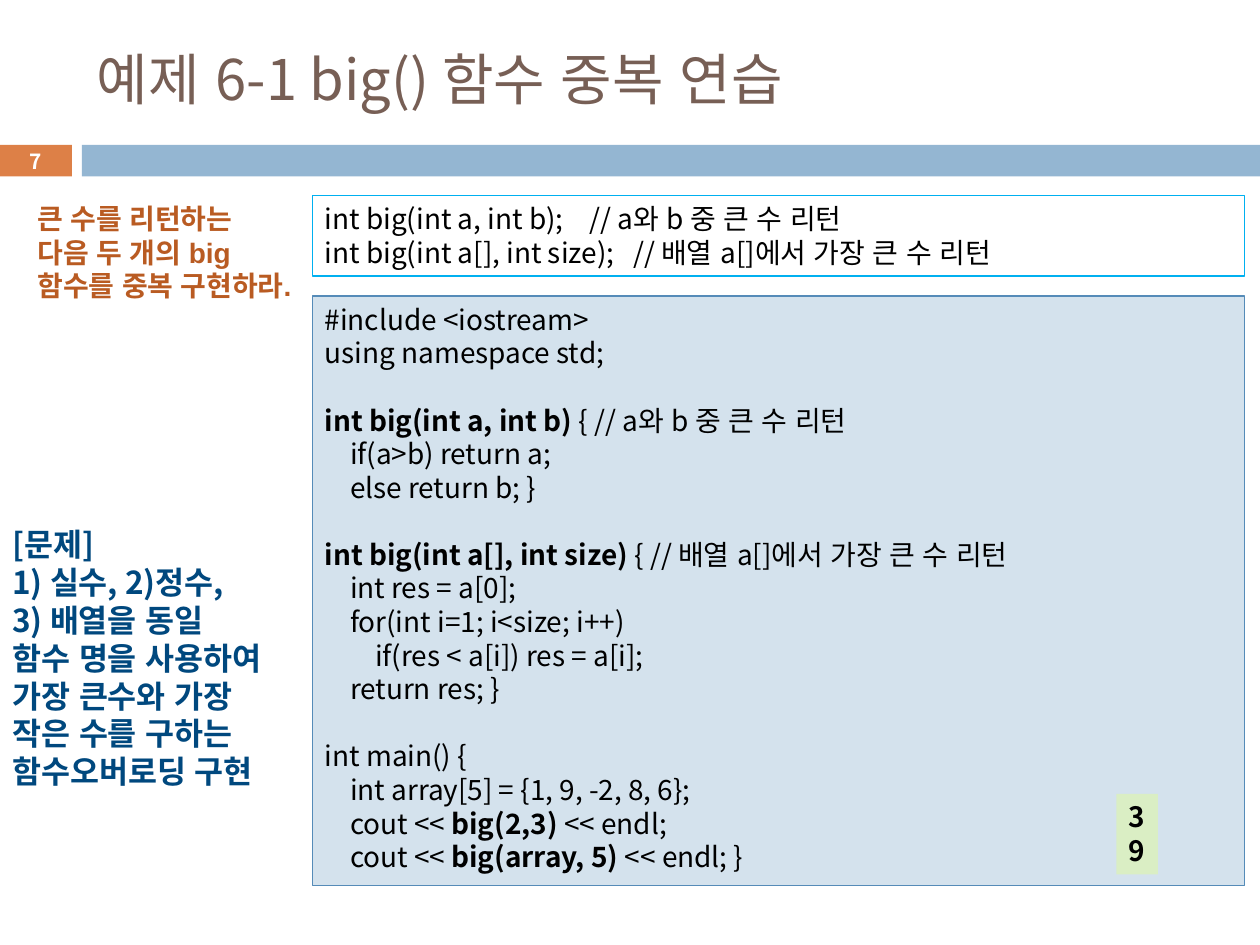
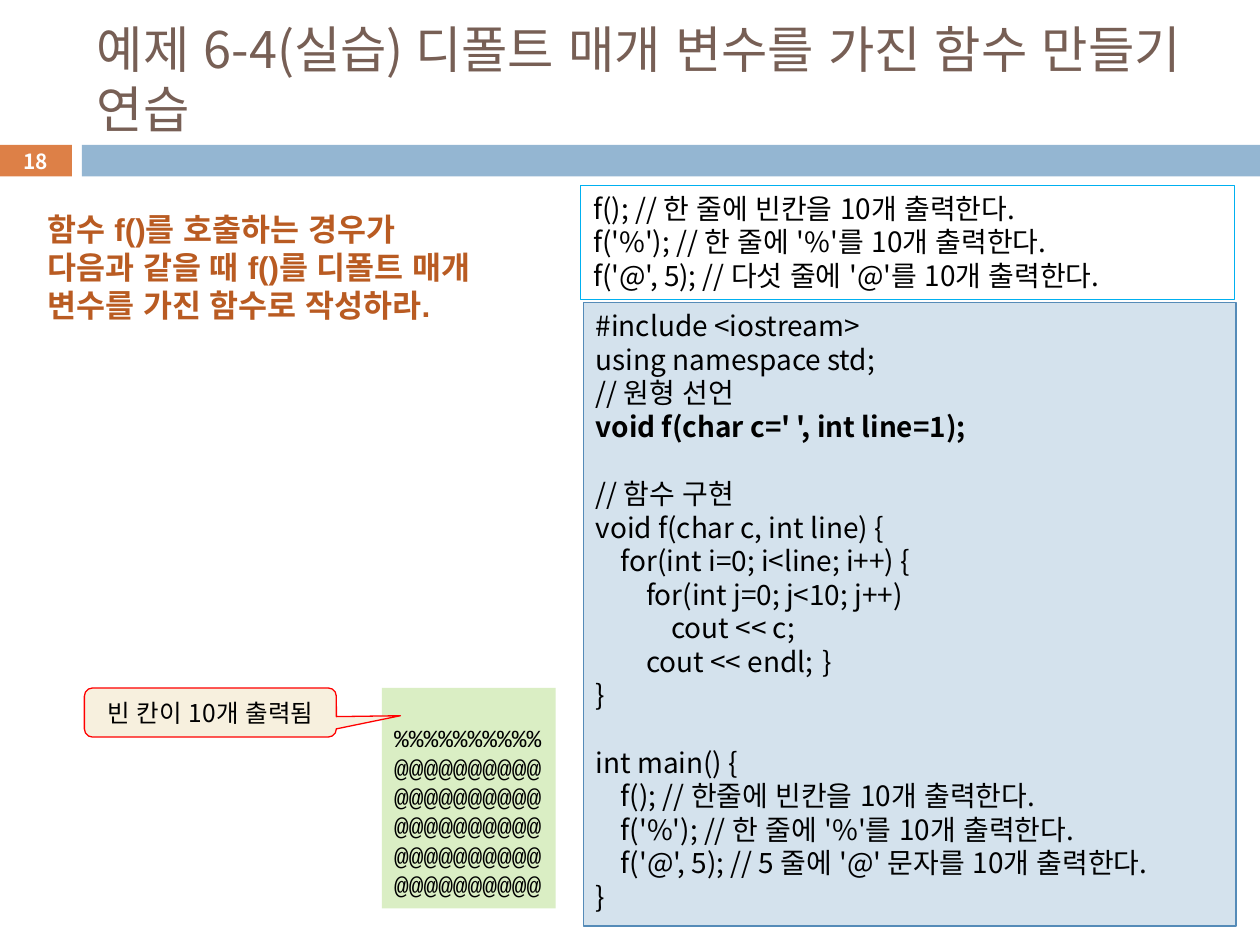
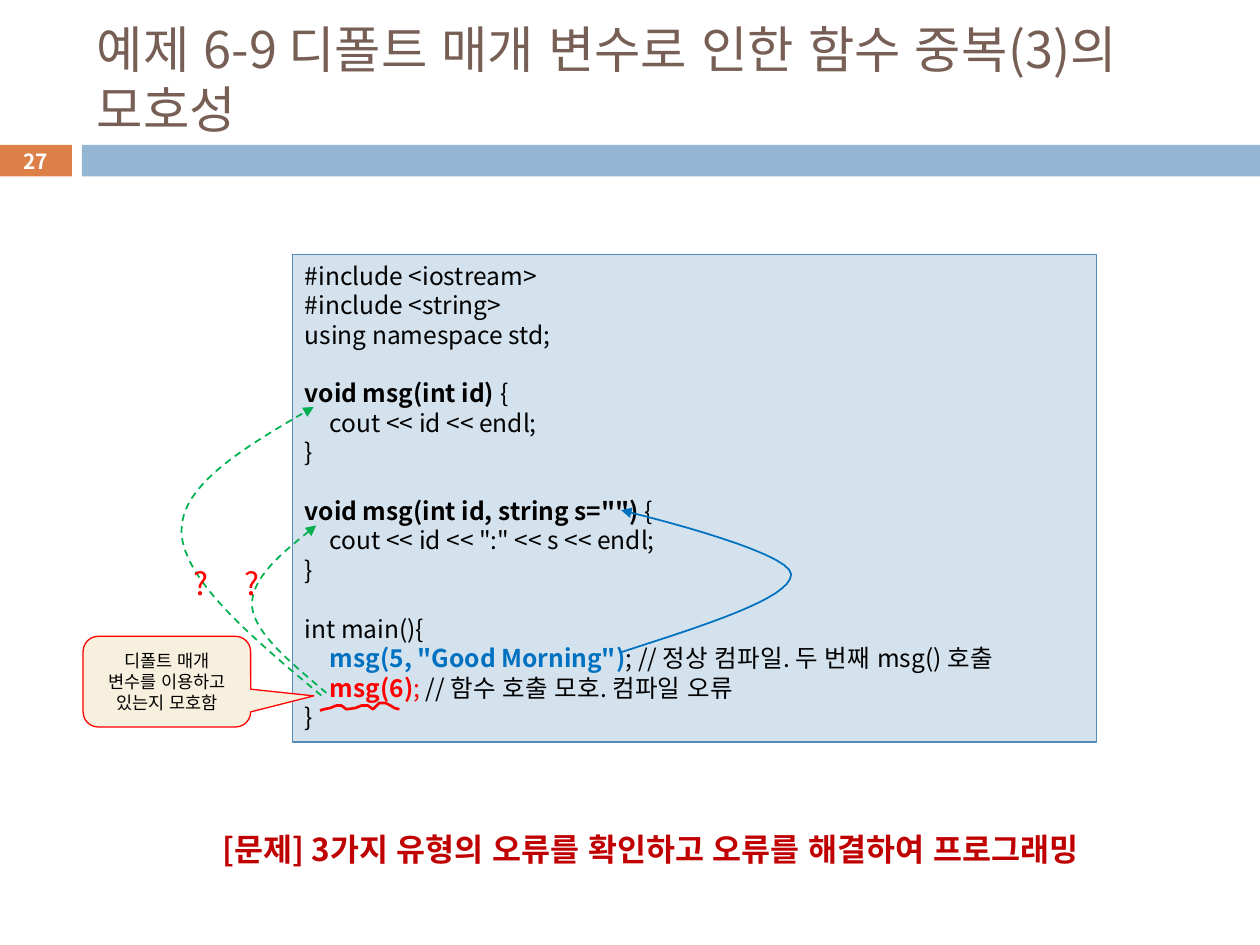
from pptx import Presentation
from pptx.dml.color import RGBColor
from pptx.enum.dml import MSO_LINE
from pptx.enum.shapes import MSO_SHAPE
from pptx.enum.text import MSO_ANCHOR, PP_ALIGN
from pptx.oxml.ns import qn
from pptx.util import Inches, Pt
from lxml import etree

RECT, CALLOUT = MSO_SHAPE.RECTANGLE, MSO_SHAPE.ROUNDED_RECTANGULAR_CALLOUT
TOP, MIDDLE = MSO_ANCHOR.TOP, MSO_ANCHOR.MIDDLE
LEFT, CENTER = PP_ALIGN.LEFT, PP_ALIGN.CENTER
DASH = MSO_LINE.DASH

SANS, ARIAL, MONO = "Noto Sans CJK KR", "Arial", "Courier New"
BLACK, WHITE, RED = "000000", "FFFFFF", "FF0000"
BROWN, ORANGE, BAND = "775F55", "DD8047", "94B6D2"
CODE_FILL, CODE_LINE, SPEC_LINE = "D4E2ED", "558BB8", "00B0F0"
OUTPUT_FILL, CALLOUT_FILL, TASK = "DAEEC4", "F7F0DE", "B95B22"
NAVY, BLUE, GREEN, DARK_RED = "00487E", "0070C0", "00B050", "C00000"
LINE_PITCH = 1.2
TAB_STEP, TAB_COUNT = 0.2, 12
BOLD = {"bold": True}

BIG_SPEC = [
    "int big(int a, int b);\t  // a와 b 중 큰 수 리턴",
    "int big(int a[], int size);   // 배열 a[]에서 가장 큰 수 리턴",
]
BIG_CODE = [
    "#include <iostream>",
    "using namespace std;",
    "",
    [("int big(int a, int b) ", BOLD), "{ // a와 b 중 큰 수 리턴"],
    "\tif(a>b) return a;",
    "\telse return b; }",
    "",
    [("int big(int a[], int size) ", BOLD), "{ // 배열 a[]에서 가장 큰 수 리턴"],
    "\tint res = a[0];",
    "\tfor(int i=1; i<size; i++)",
    "\t\tif(res < a[i]) res = a[i];",
    "\treturn res; }",
    "",
    "int main() {",
    "\tint array[5] = {1, 9, -2, 8, 6};",
    ["\tcout << ", ("big(2,3) ", BOLD), "<< endl;"],
    ["\tcout << ", ("big(array, 5) ", BOLD), "<< endl; }"],
]
BIG_PROBLEM = [
    "[문제]", "1) 실수, 2)정수,", "3) 배열을 동일", "함수 명을 사용하여",
    "가장 큰수와 가장", "작은 수를 구하는", "함수오버로딩 구현",
]

DEFAULT_SPEC = [
    "f(); // 한 줄에 빈칸을 10개 출력한다.",
    "f('%'); // 한 줄에 '%'를 10개 출력한다.",
    "f('@', 5); // 다섯 줄에 '@'를 10개 출력한다.",
]
DEFAULT_CODE = [
    "#include <iostream>",
    "using namespace std;",
    "// 원형 선언",
    [("void f(char c=' ', int line=1);", BOLD)],
    "",
    "// 함수 구현",
    "void f(char c, int line) {",
    "\tfor(int i=0; i<line; i++) {",
    "\t\tfor(int j=0; j<10; j++)",
    "\t\t\tcout << c;",
    "\t\tcout << endl; \t}",
    "}",
    "",
    "int main() {",
    "\tf(); // 한줄에 빈칸을 10개 출력한다.",
    "\tf('%'); // 한 줄에 '%'를 10개 출력한다.",
    "\tf('@', 5); // 5 줄에 '@' 문자를 10개 출력한다.",
    "}",
]
DEFAULT_OUTPUT = ["%" * 10] + ["@" * 10] * 5

MSG_CODE = [
    "#include <iostream>",
    "#include <string>",
    "using namespace std;",
    "",
    [("void msg(int id) ", BOLD), "{"],
    "\tcout << id << endl;",
    "}",
    "",
    [('void msg(int id, string s="") ', BOLD), "{"],
    '\tcout << id << ":" << s << endl;',
    "}",
    "",
    "int main(){",
    ["\t", ('msg(5, "Good Morning")', {"bold": True, "color": BLUE}),
     "; // 정상 컴파일. 두 번째 msg() 호출"],
    ["\t", ("msg(6)", {"bold": True, "color": RED}), ("; ", {"color": RED}),
     "// 함수 호출 모호. 컴파일 오류"],
    "}",
]
CALL_ARROWS = [
    (BLUE, None, [(4.92, 5.18), (5.6, 4.96), (6.27, 4.75), (6.28, 4.56),
                  (6.28, 4.37), (4.93, 4.05), (4.93, 4.05)]),
    (GREEN, DASH, [(2.59, 5.5), (2.31, 5.26), (2.02, 5.03), (2, 4.81),
                   (1.99, 4.58), (2.25, 4.38), (2.51, 4.17)]),
    (GREEN, DASH, [(2.55, 5.52), (2, 5.06), (1.45, 4.6), (1.44, 4.22),
                   (1.43, 3.84), (1.96, 3.54), (2.49, 3.23)]),
]
ERROR_WAVE = [
    (2.54, 5.64), (2.57, 5.63), (2.62, 5.62), (2.67, 5.6), (2.71, 5.6),
    (2.75, 5.63), (2.82, 5.62), (2.87, 5.6), (2.92, 5.6), (2.96, 5.63),
    (3.01, 5.58), (3.06, 5.58), (3.1, 5.6), (3.13, 5.62), (3.17, 5.63),
]


def rgb(color):
    return RGBColor.from_string(color)


def add_tabs(p):
    tabs = etree.SubElement(p._p.get_or_add_pPr(), qn("a:tabLst"))
    for i in range(1, TAB_COUNT + 1):
        etree.SubElement(tabs, qn("a:tab"), pos=str(Inches(TAB_STEP * i)), algn="l")


def write(sp, lines, size=16, font=SANS, color=BLACK, bold=False, align=LEFT,
          anchor=TOP, wrap=True, pitch=LINE_PITCH, top=0.05):
    tf = sp.text_frame
    tf.word_wrap = wrap
    tf.vertical_anchor = anchor
    tf.margin_top = Inches(top)
    first, gap = True, 0
    for line in [lines] if isinstance(lines, str) else lines:
        if not line:
            gap += size * pitch
            continue
        p = tf.paragraphs[0] if first else tf.add_paragraph()
        parts = [line] if isinstance(line, str) else line
        if any("\t" in part for part in parts):
            add_tabs(p)
        p.alignment = align
        p.line_spacing = Pt(size * pitch)
        if gap:
            p.space_before = Pt(gap)
        for part in parts:
            text, style = (part, {}) if isinstance(part, str) else part
            r = p.add_run()
            r.text = text
            r.font.size = Pt(size)
            r.font.name = font
            r.font.bold = style.get("bold", bold)
            r.font.color.rgb = rgb(style.get("color", color))
            etree.SubElement(r._r.get_or_add_rPr(), qn("a:ea"), typeface=ARIAL)
        first, gap = False, 0


def add_text(s, at, lines, **fmt):
    write(s.shapes.add_textbox(*map(Inches, at)), lines, **fmt)


def add_box(s, at, lines=(), fill=None, line=None, kind=RECT, adjust=(), **fmt):
    sp = s.shapes.add_shape(kind, *map(Inches, at))
    sp.shadow.inherit = False
    for i, value in enumerate(adjust):
        sp.adjustments[i] = value
    if fill:
        sp.fill.solid()
        sp.fill.fore_color.rgb = rgb(fill)
    else:
        sp.fill.background()
    if line:
        sp.line.color.rgb = rgb(line)
        sp.line.width = Pt(0.75)
    else:
        sp.line.fill.background()
    if lines:
        write(sp, lines, **fmt)


def add_code(s, at, lines, **fmt):
    add_box(s, at, lines, fill=CODE_FILL, line=CODE_LINE, **fmt)


def add_spec(s, at, lines):
    add_box(s, at, lines, line=SPEC_LINE)


def add_output(s, at, lines, **fmt):
    add_box(s, at, lines, fill=OUTPUT_FILL, wrap=False, **fmt)


def add_callout(s, at, text, size, adjust):
    add_box(s, at, text, fill=CALLOUT_FILL, line=RED, kind=CALLOUT, adjust=adjust,
            size=size, align=CENTER, anchor=MIDDLE)


def bezier(points, steps=16):
    curve = [points[0]]
    for i in range(0, len(points) - 1, 3):
        a, b, c, d = points[i:i + 4]
        for k in range(1, steps + 1):
            t = k / steps
            u = 1 - t
            curve.append(tuple(u**3 * a[n] + 3 * u * u * t * b[n]
                               + 3 * u * t * t * c[n] + t**3 * d[n] for n in (0, 1)))
    return curve


def add_path(s, points, color, width, dash=None, arrow=False):
    start, *rest = [(Inches(x), Inches(y)) for x, y in points]
    builder = s.shapes.build_freeform(*start)
    builder.add_line_segments(rest, close=False)
    sp = builder.convert_to_shape()
    sp.shadow.inherit = False
    sp.fill.background()
    sp.line.color.rgb = rgb(color)
    sp.line.width = Pt(width)
    if dash:
        sp.line.dash_style = dash
    if arrow:
        etree.SubElement(sp.line._get_or_add_ln(), qn("a:tailEnd"), type="triangle")


def new_slide(prs, title, number, size=28.8):
    s = prs.slides.add_slide(prs.slide_layouts[6])
    add_box(s, (-0.01, 1.15, 0.58, 0.25), number, fill=ORANGE, size=11.9,
            color=WHITE, bold=True, align=CENTER, anchor=MIDDLE)
    add_box(s, (0.65, 1.15, 9.35, 0.25), fill=BAND)
    add_text(s, (0.67, 0.25, 8.92, 0.74), title, size=size, color=BROWN,
             anchor=MIDDLE)
    return s


def big_slide(prs):
    s = new_slide(prs, "예제 6-1 big() 함수 중복 연습", "7", size=32)
    add_spec(s, (2.48, 1.55, 7.4, 0.64), BIG_SPEC)
    add_code(s, (2.48, 2.35, 7.4, 4.68), BIG_CODE)
    add_output(s, (8.86, 6.3, 0.33, 0.64), ["3", "9"], bold=True)
    add_text(s, (0.2, 1.55, 2.2, 0.91),
             "큰 수를 리턴하는 다음 두 개의 big 함수를 중복 구현하라.",
             font=ARIAL, color=TASK, bold=True)
    add_text(s, (0, 4.12, 2.4, 2.22), BIG_PROBLEM, size=18, color=NAVY,
             bold=True, wrap=False)


def default_slide(prs):
    s = new_slide(prs, "예제 6-4(실습) 디폴트 매개 변수를 가진 함수 만들기 연습", "18")
    add_text(s, (0.28, 1.62, 3.62, 1.31),
             "함수 f()를 호출하는 경우가 다음과 같을 때 f()를 디폴트 매개 변수를 가진 함수로 작성하라.",
             size=18, font=ARIAL, color=TASK, bold=True)
    add_code(s, (4.63, 2.4, 5.18, 4.95), DEFAULT_CODE)
    add_output(s, (3.03, 5.46, 1.38, 1.75), DEFAULT_OUTPUT, size=14, font=MONO,
               top=0.28)
    add_callout(s, (0.67, 5.46, 2, 0.39), "빈 칸이 10개 출력됨", 14, (0.754, 0.066, 0.167))
    add_spec(s, (4.61, 1.47, 5.19, 0.91), DEFAULT_SPEC)


def msg_slide(prs):
    s = new_slide(prs, "예제 6-9 디폴트 매개 변수로 인한 함수 중복(3)의 모호성", "27")
    add_code(s, (2.32, 2.02, 6.38, 3.87), MSG_CODE, size=14)
    for color, dash, points in CALL_ARROWS:
        add_path(s, bezier(points), color, 1, dash=dash, arrow=True)
    add_callout(s, (0.66, 5.05, 1.33, 0.72), "디폴트 매개 변수를 이용하고 있는지 모호함",
                10, (0.877, 0.157, 0.167))
    for x in (1.44, 1.84):
        add_text(s, (x, 4.43, 0.32, 0.4), "?", size=18, color=RED, wrap=False)
    add_path(s, ERROR_WAVE, RED, 1.5)
    add_text(s, (1.67, 6.54, 7.68, 0.4),
             "[문제] 3가지 유형의 오류를 확인하고 오류를 해결하여 프로그래밍",
             size=18, color=DARK_RED, bold=True, wrap=False)


def main():
    prs = Presentation()
    prs.slide_width, prs.slide_height = Inches(10), Inches(7.5)
    for build in (big_slide, default_slide, msg_slide):
        build(prs)
    prs.save("out.pptx")


if __name__ == "__main__":
    main()
